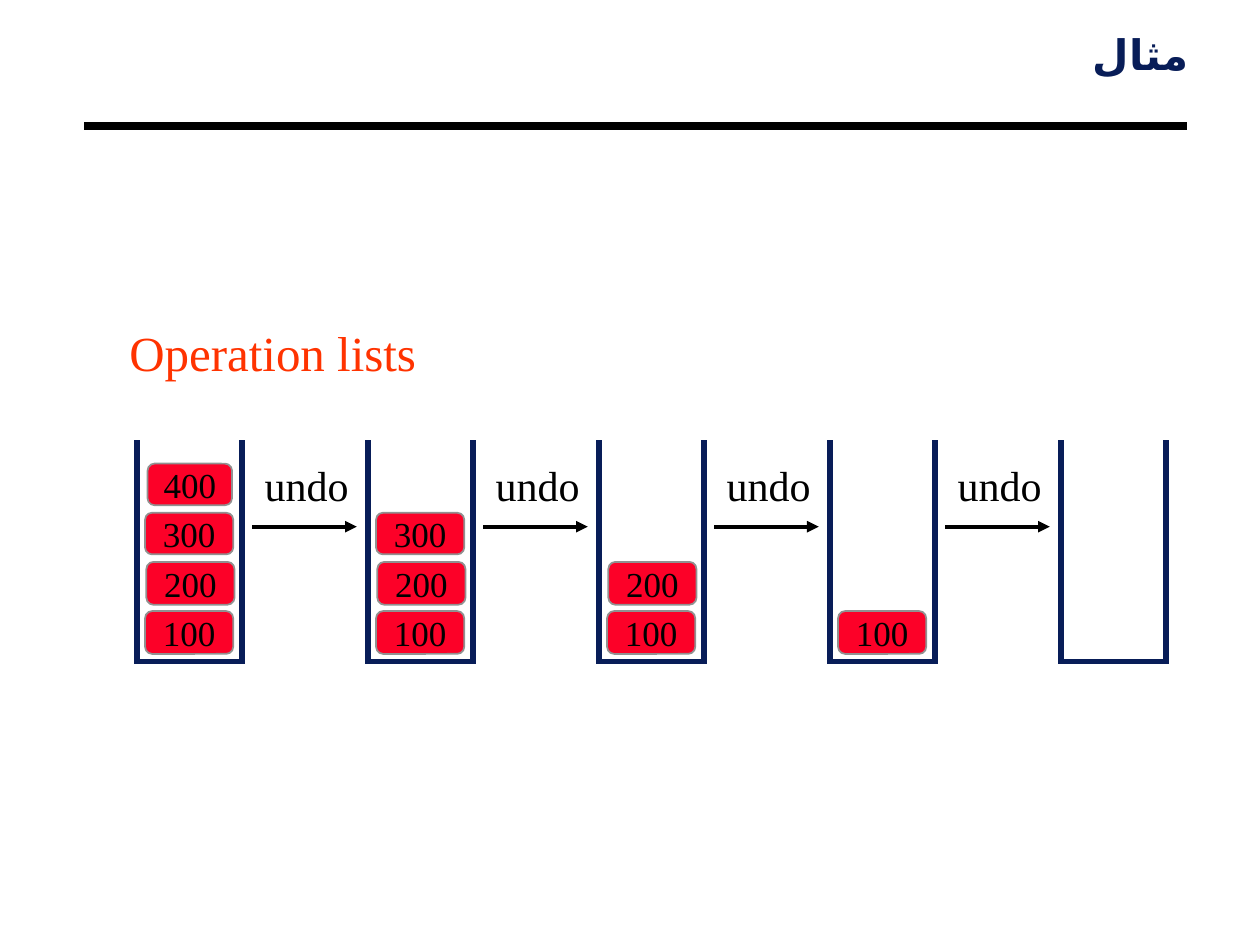
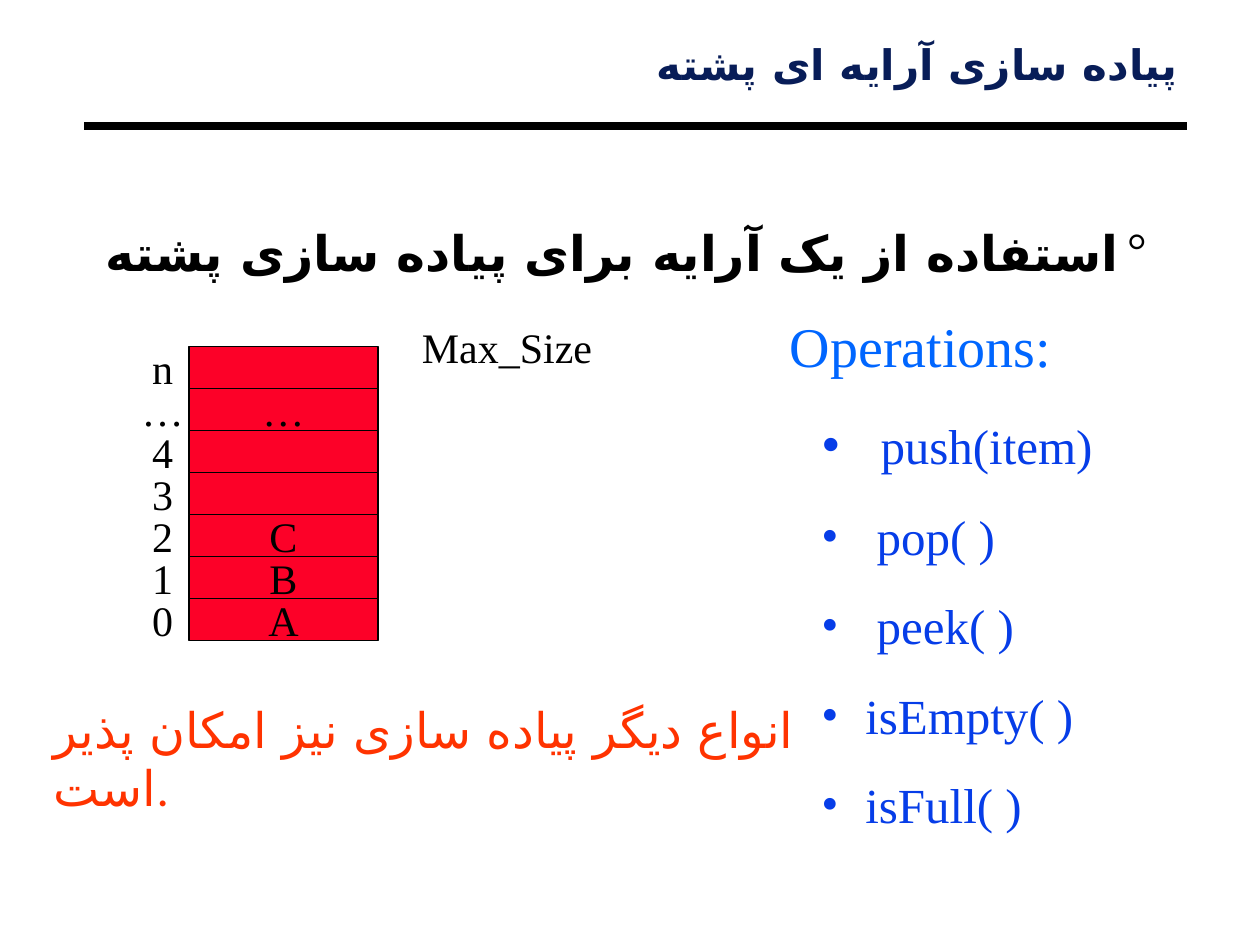
from lxml.etree import SubElement
from pptx import Presentation
from pptx.dml.color import RGBColor
from pptx.enum.shapes import MSO_CONNECTOR, MSO_SHAPE
from pptx.enum.text import MSO_ANCHOR, MSO_AUTO_SIZE, PP_ALIGN
from pptx.oxml.ns import qn
from pptx.util import Inches, Pt

COLOURS = {
    "black": "000000", "navy": "081D58", "red": "FC0128", "grey": "919191",
    "orange": "FF3300", "sky": "0066FF", "blue": "063DE8",
}
SERIF, SANS, TITLE = "Times New Roman", "Arial", "Calibri"
PERSIAN = "DejaVu Sans"


def colour(name):
    """Return the named colour."""
    return RGBColor.from_string(COLOURS[name])


def write(para, text, size=24, font=SERIF, ink="black", bold=False, align=None,
          rtl=False, before=0, spacing=None):
    """Put text in a paragraph and format it."""
    span = para.add_run()
    span.text = text
    span.font.size, span.font.name, span.font.bold = Pt(size), font, bold
    span.font.color.rgb = colour(ink)
    SubElement(span._r.get_or_add_rPr(), qn("a:cs"), typeface=PERSIAN)
    para.alignment = align
    para.space_before = Pt(before)
    if spacing:
        para.line_spacing = spacing
    if rtl:
        para._p.get_or_add_pPr().set("rtl", "1")


def add_bullet(para, mark, ink, left, hang, percent=100):
    """Give a paragraph a bullet that hangs to the side of its text."""
    props = para._p.get_or_add_pPr()
    props.set("marL", str(Inches(left)))
    props.set("indent", str(-Inches(hang)))
    tint = SubElement(props, qn("a:buClr"))
    SubElement(tint, qn("a:srgbClr"), val=COLOURS[ink])
    SubElement(props, qn("a:buSzPct"), val=str(percent * 1000))
    SubElement(props, qn("a:buFont"), typeface=SERIF)
    SubElement(props, qn("a:buChar"), char=mark)


class Slides:
    """Hold the deck, its style and the current page."""

    def __init__(self):
        """Start an empty deck."""
        self.deck = Presentation()
        self.deck.slide_width, self.deck.slide_height = Inches(10), Inches(7.5)
        self.layout = self.deck.slide_layouts[5]
        self.page = None

    def add_page(self, title, left, top, width, height):
        """Start a page with a right-to-left title above the shared rule."""
        self.page = self.deck.slides.add_slide(self.layout)
        if len(self.deck.slides) == 1:
            rule = self.line(0.67, 1, 9.42, 1, "black", 4.5)
            self.layout.shapes.element.append(rule._element)
        box = self.page.shapes.title
        self.place(box, left, top, width, height)
        frame = self.frame(box, inset=(0.07, 0.03), grow=True)
        write(frame.paragraphs[0], title, font=TITLE, ink="navy", bold=True,
              align=PP_ALIGN.RIGHT, rtl=True, spacing=0.87)

    def place(self, box, left, top, width, height):
        """Move and size a box."""
        box.left, box.top = Inches(left), Inches(top)
        box.width, box.height = Inches(width), Inches(height)

    def frame(self, box, inset=(0.1, 0.05), wrap=True, middle=False, grow=False):
        """Set up the text frame of a box and return it."""
        frame = box.text_frame
        frame.word_wrap = wrap
        frame.auto_size = MSO_AUTO_SIZE.SHAPE_TO_FIT_TEXT if grow else MSO_AUTO_SIZE.NONE
        frame.vertical_anchor = MSO_ANCHOR.MIDDLE if middle else MSO_ANCHOR.TOP
        frame.margin_left = frame.margin_right = Inches(inset[0])
        frame.margin_top = frame.margin_bottom = Inches(inset[1])
        return frame

    def text_box(self, left, top, width, height, **layout):
        """Add a text box and return its frame."""
        box = self.page.shapes.add_textbox(
            Inches(left), Inches(top), Inches(width), Inches(height))
        return self.frame(box, **layout)

    def note(self, text, left, top, width, height, **style):
        """Add a text box that holds one wrapped paragraph."""
        frame = self.text_box(left, top, width, height, grow=True)
        write(frame.paragraphs[0], text, **style)

    def label(self, text, left, top, width, height):
        """Add a centred label that does not wrap."""
        frame = self.text_box(left, top, width, height, wrap=False, middle=True)
        write(frame.paragraphs[0], text, align=PP_ALIGN.CENTER)

    def block(self, kind, text, left, top, width, height, fill=None, edge=None,
              weight=1, **style):
        """Add a preset shape with centred text."""
        box = self.page.shapes.add_shape(
            kind, Inches(left), Inches(top), Inches(width), Inches(height))
        box.shadow.inherit = False
        if fill:
            box.fill.solid()
            box.fill.fore_color.rgb = colour(fill)
            box.line.color.rgb = colour(edge)
            box.line.width = Pt(weight)
        else:
            box.fill.background()
            box.line.fill.background()
        frame = self.frame(box, wrap=False, middle=True)
        if text:
            write(frame.paragraphs[0], text, align=PP_ALIGN.CENTER, **style)

    def line(self, x1, y1, x2, y2, ink, weight, arrow=False, square=False):
        """Add a straight line, with an arrowhead or square ends if asked."""
        line = self.page.shapes.add_connector(
            MSO_CONNECTOR.STRAIGHT, Inches(x1), Inches(y1), Inches(x2), Inches(y2))
        line.line.color.rgb = colour(ink)
        line.line.width = Pt(weight)
        stroke = line.line._get_or_add_ln()
        if square:
            stroke.set("cap", "sq")
        if arrow:
            SubElement(stroke, qn("a:tailEnd"), type="triangle")
        SubElement(line._element.spPr, qn("a:effectLst"))
        return line

    def stack(self, left, values):
        """Draw an open container with its values piled from the bottom."""
        top, bottom, right = 3.51, 5.25, left + 5 / 6
        for level, value in enumerate(values):
            nudge, width = {"200": (0.01, 0.7), "400": (0.02, 0.67)}.get(value, (0, 0.7))
            self.block(MSO_SHAPE.ROUNDED_RECTANGLE, value, left + 0.065 + nudge,
                       4.85 - 0.39 * level, width, 0.34 if level < 2 else 0.33,
                       fill="red", edge="grey", size=20)
        corners = [(left, top), (left, bottom), (right, bottom), (right, top)]
        for start, end in zip(corners, corners[1:]):
            self.line(*start, *end, "navy", 3, square=True)

    def undo_step(self, left):
        """Draw the labelled arrow between two stacks."""
        self.note("undo", left, 3.6, 0.92, 0.5, before=15)
        self.line(left, 4.18, left + 0.83, 4.18, "black", 2.25, arrow=True)

    def array(self, left, top, rows):
        """Draw the array as a column of cells with an index beside each."""
        height = 1 / 3
        for row, (index, value) in enumerate(rows):
            y = top + row * height
            self.block(MSO_SHAPE.RECTANGLE, value, left, y, 1.5, height,
                       fill="red", edge="black", weight=0.75)
            self.label(index, left - 0.5, y, 0.58, height)


def undo_page(slides):
    """Build the page where each undo pops one value."""
    slides.add_page("مثال", 0.75, 0.25, 8.75, 0.42)
    slides.block(MSO_SHAPE.ROUNDED_RECTANGLE, "Operation lists", 0.58, 2.42, 3.17, 0.75,
                 size=28, ink="orange")
    values = ["100", "200", "300", "400"]
    pitch = 11 / 6
    for step in range(len(values) + 1):
        left = 8.42 - (len(values) - step) * pitch
        slides.stack(left, values[:len(values) - step])
        if step < len(values):
            slides.undo_step(left + 0.915)


def array_page(slides):
    """Build the page on the array implementation of a stack."""
    slides.add_page("پیاده سازی آرایه ای پشته", 0.67, 0.33, 8.75, 0.67)
    body = slides.text_box(0.67, 1.5, 8.5, 0.76, inset=(0.07, 0.03)).paragraphs[0]
    write(body, "استفاده از یک آرایه برای پیاده سازی پشته", size=28, font=SANS, bold=True,
          align=PP_ALIGN.RIGHT, rtl=True, before=22.8, spacing=1.5)
    add_bullet(body, "°", "black", 0.22, 0.22)

    slides.array(1.5, 2.75, [("n", ""), ("…", "…"), ("4", ""), ("3", ""),
                             ("2", "C"), ("1", "B"), ("0", "A")])
    slides.note("Max_Size", 3.25, 2.5, 1.58, 0.5, before=15)

    frame = slides.text_box(6.17, 2.42, 3.67, 4.25, grow=True)
    write(frame.paragraphs[0], "Operations:", size=32, ink="sky", before=20)
    operations = [("push(item)", 0.72, 21, 114), ("pop( )", 0.69, 18.5, 100),
                  ("peek( )", 0.69, 17.5, 100), ("isEmpty( )", 0.6, 17.5, 100),
                  ("isFull( )", 0.6, 17.5, 100)]
    for name, left, before, percent in operations:
        para = frame.add_paragraph()
        para.level = 1
        write(para, name, size=28, ink="blue", before=before)
        add_bullet(para, "•", "blue", left, left - 0.25, percent)

    slides.note("انواع دیگر پیاده سازی نیز امکان پذیر است.", 0.33, 5.5, 6.08, 1.04,
                size=28, font=TITLE, ink="orange", before=17.5)


slides = Slides()
undo_page(slides)
array_page(slides)
slides.deck.save("out.pptx")
